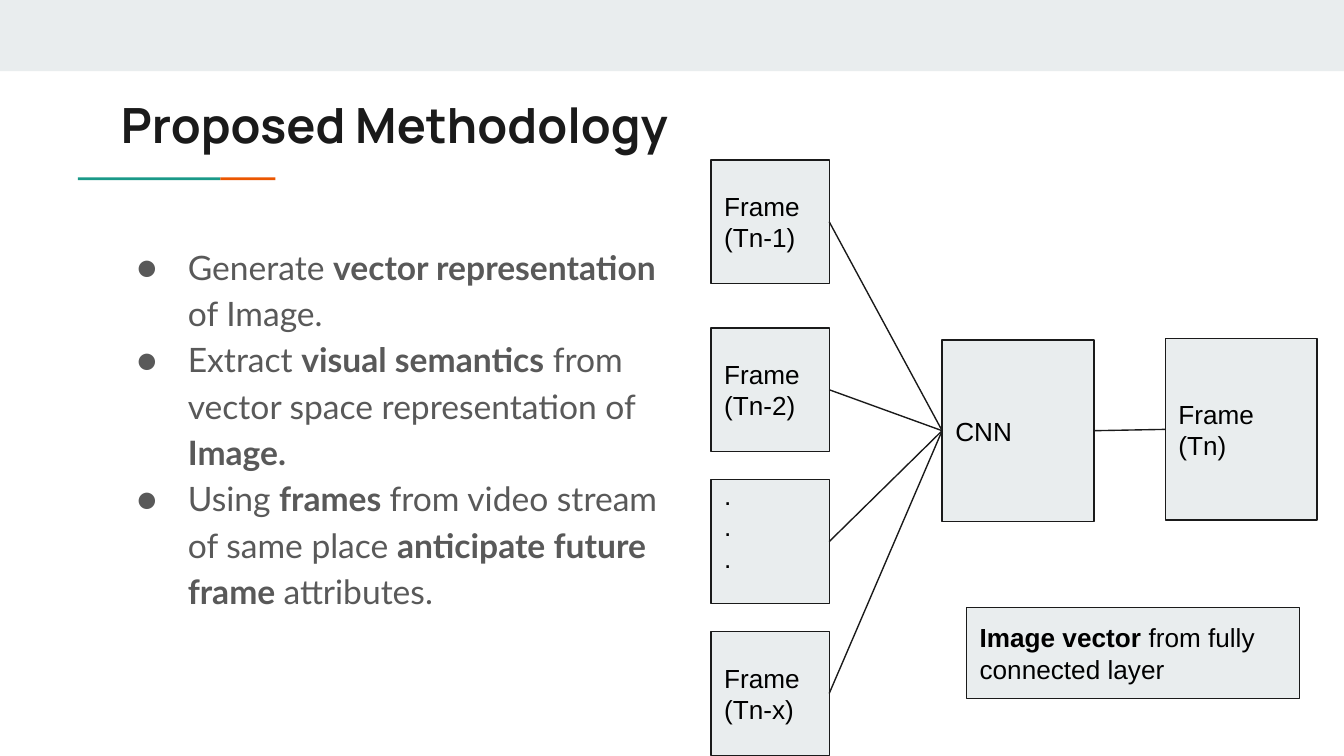
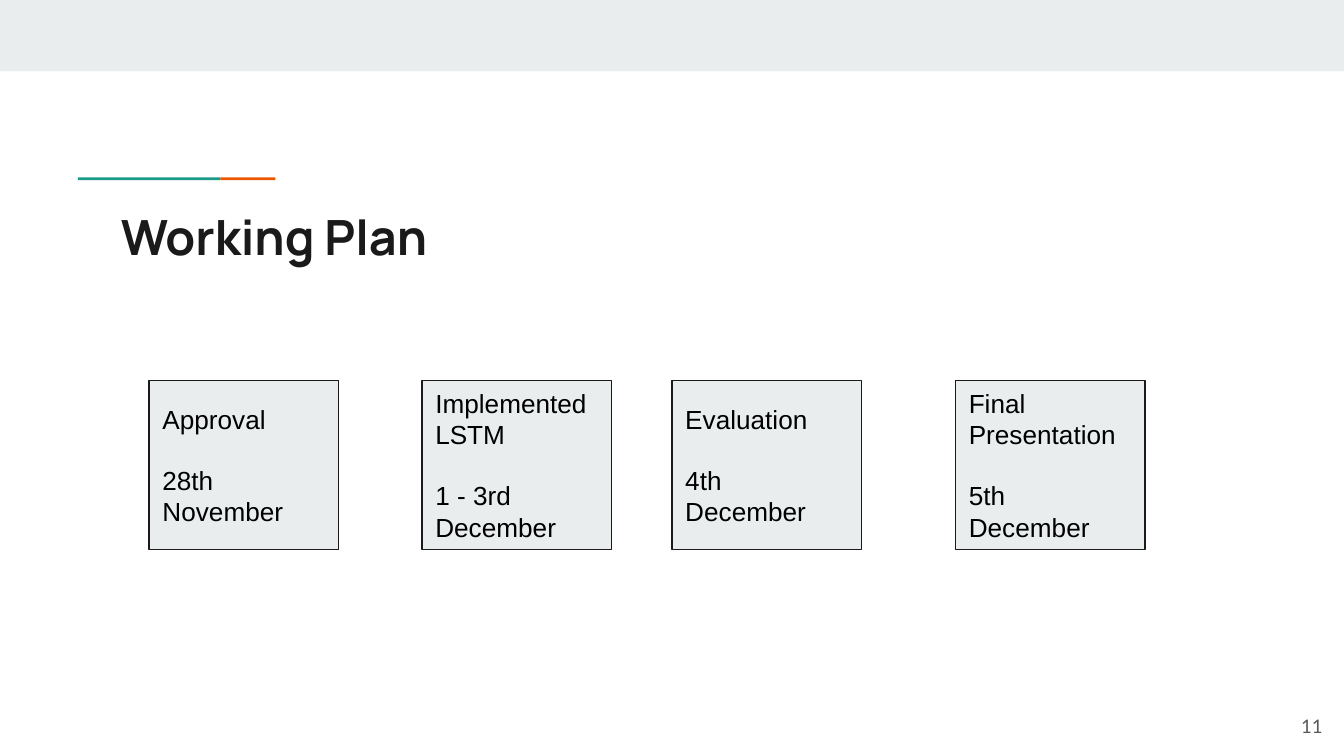
from lxml import etree
from pptx import Presentation
from pptx.dml.color import RGBColor
from pptx.enum.shapes import MSO_CONNECTOR, MSO_SHAPE
from pptx.enum.text import MSO_ANCHOR, MSO_AUTO_SIZE, PP_ALIGN
from pptx.oxml.ns import qn
from pptx.util import Inches, Pt

PALE = RGBColor(0xE9, 0xED, 0xEE)
INK = RGBColor(0x1A, 0x1A, 0x1A)
GREY = RGBColor(0x59, 0x59, 0x59)
BLACK = RGBColor(0, 0, 0)
TEAL = RGBColor(0x1A, 0x99, 0x88)
ORANGE = RGBColor(0xEB, 0x56, 0x00)

SLIDE_W = 10
SLIDE_H = SLIDE_W * 9 / 16
INSET = 0.1
LEFT = 0.8

# Words between asterisks are bold.
METHOD_TITLE = "Proposed Methodology"
METHOD_POINTS = [
    "Generate *vector representation* of Image.",
    "Extract *visual semantics* from vector space representation of *Image.*",
    "Using *frames *from video stream of same place *anticipate future frame *attributes.",
]
INPUT_FRAMES = [  # top, paragraphs
    (1.19, ["Frame (Tn-1)"]),
    (2.44, ["Frame (Tn-2)"]),
    (3.57, [".", ".", "."]),
    (4.70, ["Frame (Tn-x)"]),
]
NETWORK = "CNN"
OUTPUT_FRAME = "Frame (Tn)"
VECTOR_NOTE = "*Image vector* from fully connected layer"

PLAN_TITLE = "Working Plan"
PLAN_NUMBER = "11"
MILESTONES = [  # left, task, date lines
    (1.11, "Approval", ["28th November"]),
    (3.14, "Implemented LSTM", ["1 - 3rd December"]),
    (5.00, "Evaluation", ["4th", "December"]),
    (7.11, "Final Presentation", ["5th", "December"]),
]


def add_runs(p, text, font, size, color):
    for i, part in enumerate(text.split("*")):
        if part:
            r = p.add_run()
            r.text = part
            r.font.name, r.font.size = font, Pt(size)
            r.font.bold = i % 2 == 1
            r.font.color.rgb = color


def write(sp, paragraphs, font, size, color, anchor=MSO_ANCHOR.TOP, align=PP_ALIGN.LEFT):
    tf = sp.text_frame
    tf.word_wrap = True
    tf.auto_size = MSO_AUTO_SIZE.NONE
    tf.vertical_anchor = anchor
    tf.margin_left = tf.margin_right = tf.margin_top = tf.margin_bottom = Inches(INSET)
    for i, text in enumerate(paragraphs):
        p = tf.paragraphs[0] if i == 0 else tf.add_paragraph()
        p.alignment = align
        add_runs(p, text, font, size, color)
    return tf


def add_rect(slide, box, fill, line=None):
    sp = slide.shapes.add_shape(MSO_SHAPE.RECTANGLE, *map(Inches, box))
    sp.shadow.inherit = False
    sp.fill.solid()
    sp.fill.fore_color.rgb = fill
    if line is None:
        sp.line.fill.background()
    else:
        sp.line.color.rgb = line
        sp.line.width = Pt(0.75)
    return sp


def add_box(slide, box, paragraphs):
    sp = add_rect(slide, box, PALE, INK)
    write(sp, paragraphs, "Arial", 14, BLACK, MSO_ANCHOR.MIDDLE)
    return sp


def link(slide, start, end):
    """Join the right side of start to the left side of end."""
    line = slide.shapes.add_connector(MSO_CONNECTOR.STRAIGHT, 0, 0, 0, 0)
    line.begin_connect(start, 3)
    line.end_connect(end, 1)
    line.line.color.rgb = INK
    line.line.width = Pt(0.75)
    etree.SubElement(line._element.spPr, qn("a:effectLst"))


def add_bullet(p):
    pPr = p._p.get_or_add_pPr()
    pPr.set("marL", str(Inches(0.5)))
    pPr.set("indent", str(Inches(-0.38)))
    color = etree.SubElement(pPr, qn("a:buClr"))
    etree.SubElement(color, qn("a:srgbClr"), val=str(GREY))
    etree.SubElement(pPr, qn("a:buFont"), typeface="Lato")
    etree.SubElement(pPr, qn("a:buChar"), char="●")


def add_slide(prs, title, title_top):
    slide = prs.slides.add_slide(prs.slide_layouts[5])
    add_rect(slide, (0, 0, SLIDE_W, 0.53), PALE)
    add_rect(slide, (0.58, 1.32, 1.06, 0.02), TEAL)
    add_rect(slide, (1.64, 1.32, 0.41, 0.02), ORANGE)
    sp = slide.shapes.title
    sp.left, sp.top, sp.width, sp.height = map(Inches, (LEFT, title_top, 8.41, 0.59))
    write(sp, [f"*{title}*"], "Manrope", 26, INK)
    return slide


def build_method(prs):
    slide = add_slide(prs, METHOD_TITLE, 0.61)
    body = slide.shapes.add_textbox(*map(Inches, (LEFT, 1.69, 4.2, 3.93)))
    for p in write(body, METHOD_POINTS, "Lato", 18, GREY).paragraphs:
        p.line_spacing = 1.15
        add_bullet(p)

    network = add_box(slide, (7.01, 2.53, 1.13, 1.35), [NETWORK])
    output = add_box(slide, (8.67, 2.52, 1.13, 1.35), [OUTPUT_FRAME])
    for top, paragraphs in INPUT_FRAMES:
        frame = add_box(slide, (5.29, top, 0.88, 0.92), paragraphs)
        if len(paragraphs) > 1:  # the dots sit one half line above the middle
            frame.text_frame.margin_bottom = Inches(INSET + 0.23)
        link(slide, frame, network)
    link(slide, network, output)
    add_box(slide, (7.19, 4.52, 2.48, 0.68), [VECTOR_NOTE])


def build_plan(prs):
    slide = add_slide(prs, PLAN_TITLE, 1.44)
    for left, task, date in MILESTONES:
        sp = add_box(slide, (left, 2.83, 1.41, 1.26), [task, *date])
        sp.text_frame.paragraphs[1].space_before = Pt(16)
    number = slide.shapes.add_textbox(*map(Inches, (9.34, 5.19, 0.6, 0.43)))
    write(number, [PLAN_NUMBER], "Lato", 10, GREY, MSO_ANCHOR.MIDDLE, PP_ALIGN.RIGHT)


def main():
    prs = Presentation()
    prs.slide_width, prs.slide_height = Inches(SLIDE_W), Inches(SLIDE_H)
    build_method(prs)
    build_plan(prs)
    prs.save("out.pptx")


if __name__ == "__main__":
    main()
